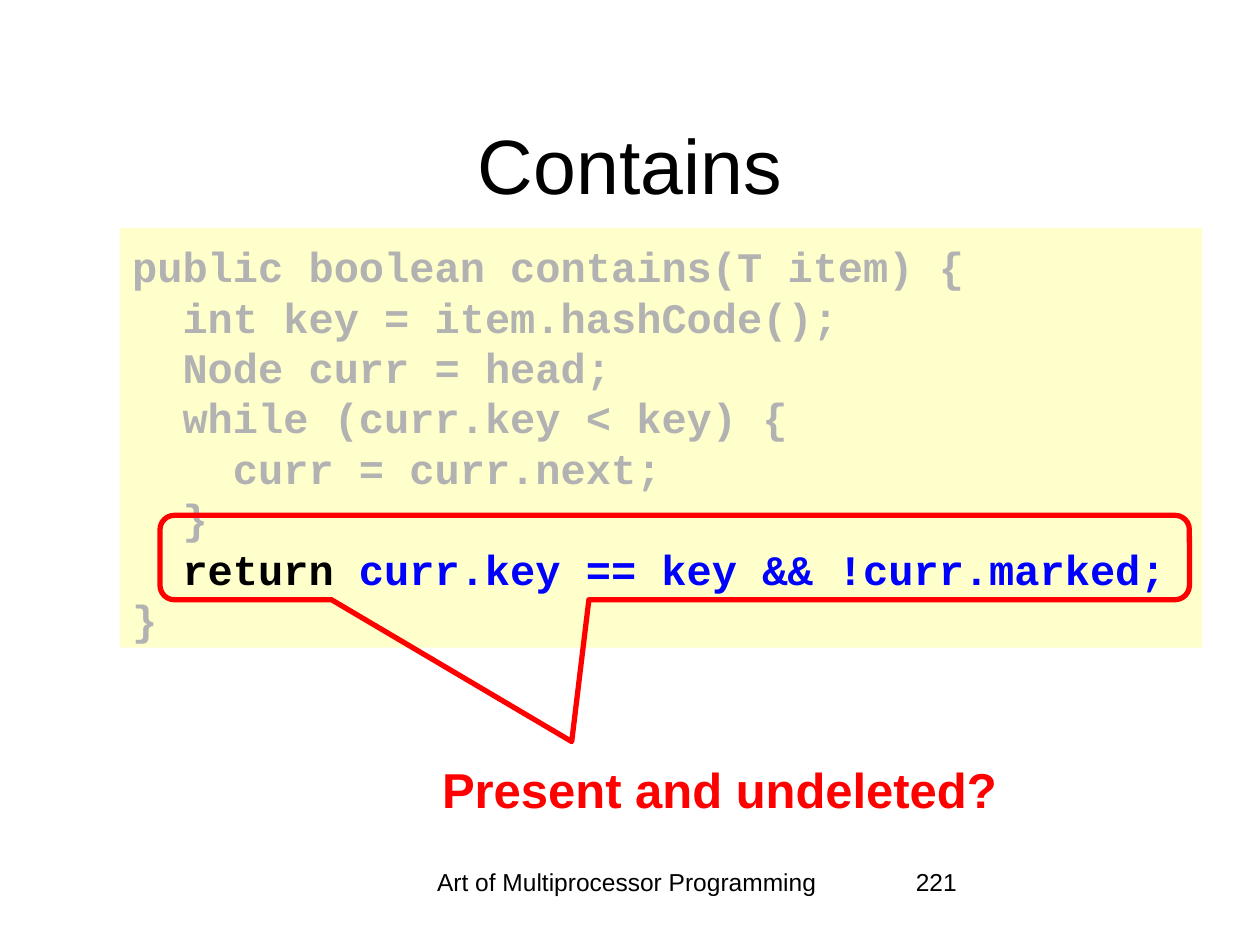
from pptx import Presentation
from pptx.dml.color import RGBColor as Rgb
from pptx.enum.shapes import MSO_SHAPE as Form
from pptx.enum.text import MSO_ANCHOR as Anchor, PP_ALIGN as Align
from pptx.util import Inches, Pt

COLORS = {
    "black": "000000",
    "gray": "B2B2B2",
    "blue": "0000FF",
    "red": "FF0000",
    "cream": "FFFFCC",
}


class Page:
    """Holds the style and the current slide."""

    def __init__(self, deck):
        self.slide = deck.slides.add_slide(deck.slide_layouts[6])

    def color(self, name):
        return Rgb.from_string(COLORS[name])

    def style(self, run, size, color, bold=False, face="Arial"):
        font = run.font
        font.name, font.size, font.bold = face, Pt(size), bold
        font.color.rgb = self.color(color)

    def text(self, words, box, size, color="black", bold=False,
             align=Align.CENTER, anchor=Anchor.TOP):
        frame = self.slide.shapes.add_textbox(*map(Inches, box)).text_frame
        frame.word_wrap = True
        frame.vertical_anchor = anchor
        frame.text = words
        para = frame.paragraphs[0]
        para.alignment = align
        self.style(para.runs[0], size, color, bold)

    def shape(self, form, box):
        shape = self.slide.shapes.add_shape(form, *map(Inches, box))
        shape.shadow.inherit = False
        return shape

    def code(self, lines, box):
        panel = self.shape(Form.RECTANGLE, box)
        panel.fill.solid()
        panel.fill.fore_color.rgb = self.color("cream")
        panel.line.fill.background()
        frame = panel.text_frame
        frame.word_wrap = True
        frame.vertical_anchor = Anchor.TOP
        frame.margin_top = Inches(0.1)
        frame.margin_bottom = 0
        for i, parts in enumerate(lines):
            para = frame.add_paragraph() if i else frame.paragraphs[0]
            para.alignment = Align.LEFT
            para.line_spacing = Pt(28.8)
            for words, color in parts:
                run = para.add_run()
                run.text = words
                self.style(run, 24, color, True, "Courier New")

    def callout(self, box, adjust):
        bubble = self.shape(Form.ROUNDED_RECTANGULAR_CALLOUT, box)
        for i, value in enumerate(adjust):
            bubble.adjustments[i] = value
        bubble.fill.background()
        bubble.line.color.rgb = self.color("red")
        bubble.line.width = Pt(3)


def main():
    deck = Presentation()
    deck.slide_width, deck.slide_height = Inches(10), Inches(7.5)
    page = Page(deck)

    # Footer and title
    page.text("Art of Multiprocessor Programming", (3.1, 6.83, 3.75, 0.5), 14)
    page.text("221", (7.17, 6.83, 2.08, 0.5), 14, align=Align.LEFT)
    page.text("Contains", (0.75, 0.67, 8.5, 1.25), 44, anchor=Anchor.MIDDLE)

    # Code, with the return line brought out
    dim = [
        "public boolean contains(T item) {",
        "  int key = item.hashCode();",
        "  Node curr = head;",
        "  while (curr.key < key) {",
        "    curr = curr.next;",
        "  }",
    ]
    lines = [[(words, "gray")] for words in dim]
    lines.append([("  return ", "black"),
                  ("curr.key == key && !curr.marked;", "blue")])
    lines.append([("}", "gray")])
    page.code(lines, (0.95, 1.81, 8.59, 3.33))

    # Callout and its question
    page.callout((1.27, 4.09, 8.17, 0.67), (-0.1, 2.18, 0.17))
    page.text("Present and undeleted?", (3.13, 5.98, 5.16, 0.57), 28,
              "red", True)

    deck.save("out.pptx")


if __name__ == "__main__":
    main()
